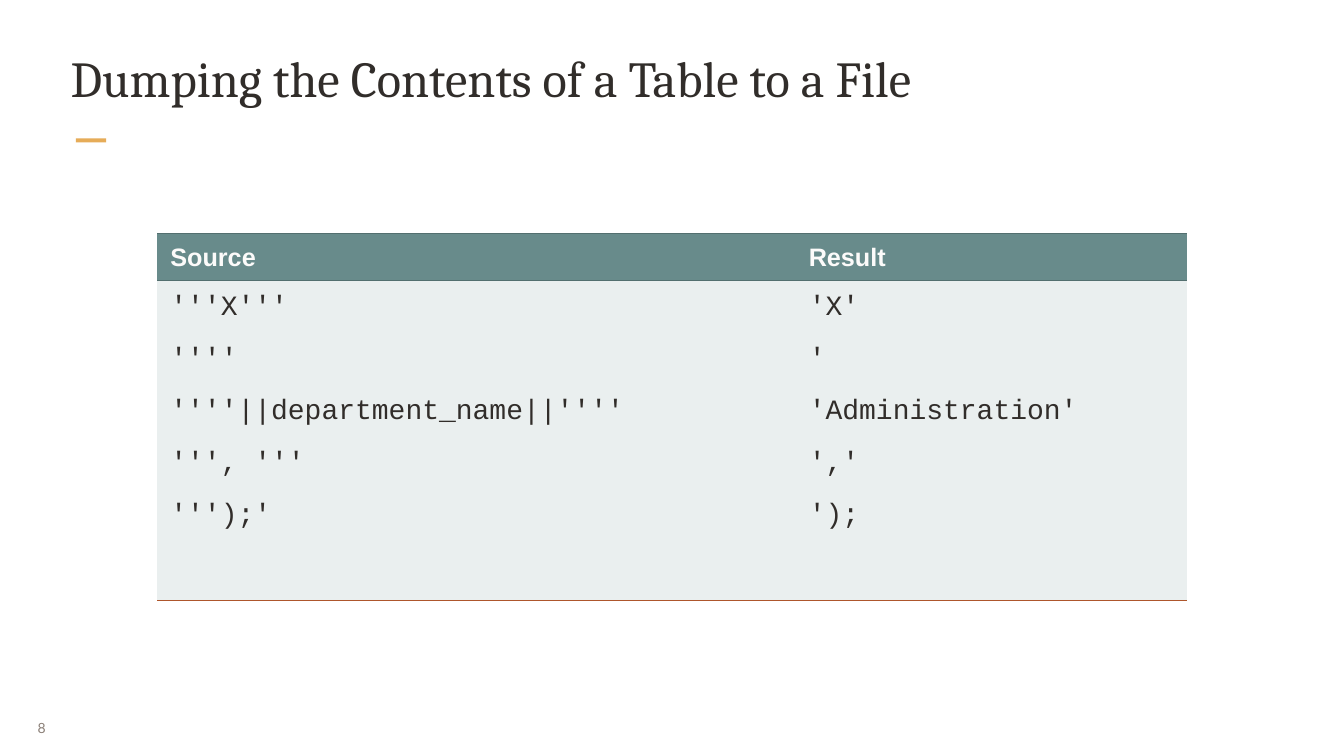
from lxml import etree
from pptx import Presentation
from pptx.dml.color import RGBColor
from pptx.enum.shapes import MSO_SHAPE
from pptx.enum.text import MSO_ANCHOR, PP_ALIGN
from pptx.oxml.ns import qn
from pptx.util import Cm, Pt

RECTANGLE = MSO_SHAPE.RECTANGLE
TOP, MIDDLE = MSO_ANCHOR.TOP, MSO_ANCHOR.MIDDLE
LEFT = PP_ALIGN.LEFT

INK = RGBColor(0x31, 0x2D, 0x2A)
GOLD = RGBColor(0xE6, 0xAC, 0x58)
TAUPE = RGBColor(0x8B, 0x80, 0x78)
TEAL = RGBColor(0x68, 0x8B, 0x8B)
DARK_TEAL = RGBColor(0x53, 0x6F, 0x6F)
PALE_TEAL = RGBColor(0xEA, 0xEF, 0xEF)
RUST = RGBColor(0xAE, 0x56, 0x2C)
OFF_WHITE = RGBColor(0xFC, 0xFB, 0xFA)

# Content
TITLE = "Dumping the Contents of a Table to a File"
PAGE_NUMBER = "8"
COLUMNS = [
    ("Source", ["'''X'''", "''''", "''''||department_name||''''",
                "''', '''", "''');'"]),
    ("Result", ["'X'", "'", "'Administration'", "','", "');"]),
]
COLUMN_WIDTHS = [Cm(24.13), Cm(14.81)]
ROW_HEIGHTS = [Cm(1.8), Cm(12.07)]


def set_insets(box, horizontal, vertical):
    box.margin_left = box.margin_right = horizontal
    box.margin_top = box.margin_bottom = vertical


def style_font(font, name, size, color, bold=False):
    font.name, font.size, font.bold = name, Pt(size), bold
    font.color.rgb = color


def set_borders(cell, top, bottom):
    """Draw the top and bottom edges; hide the sides and any edge set to None."""
    properties = cell._tc.get_or_add_tcPr()
    edges = [("a:lnL", None), ("a:lnR", None), ("a:lnT", top), ("a:lnB", bottom)]
    for position, (tag, color) in enumerate(edges):
        line = etree.Element(qn(tag), w=str(Pt(1)))
        if color is None:
            etree.SubElement(line, qn("a:noFill"))
        else:
            fill = etree.SubElement(line, qn("a:solidFill"))
            etree.SubElement(fill, qn("a:srgbClr"), val=str(color))
        properties.insert(position, line)


def fill_cell(cell, lines, font_name, size, color, bold, background):
    set_insets(cell, Cm(0.5), Cm(0.18))
    cell.vertical_anchor = TOP
    cell.fill.solid()
    cell.fill.fore_color.rgb = background
    cell.text_frame.text = "\n".join(lines)
    for index, paragraph in enumerate(cell.text_frame.paragraphs):
        paragraph.line_spacing = 1.2
        paragraph.space_before = Pt(size / 2 if index else 0)
        for run in paragraph.runs:
            style_font(run.font, font_name, size, color, bold)


def main():
    deck = Presentation()
    deck.slide_width, deck.slide_height = Cm(50.8), Cm(28.58)
    slide = deck.slides.add_slide(deck.slide_layouts[5])

    # Title with its accent bar
    title = slide.shapes.title
    title.left, title.top, title.width, title.height = (
        Cm(2.59), Cm(1.7), Cm(45.62), Cm(3.25))
    title_frame = title.text_frame
    title_frame.text = TITLE
    title_frame.vertical_anchor = TOP
    set_insets(title_frame, Cm(0.08), Cm(0.08))
    heading = title_frame.paragraphs[0]
    heading.alignment = LEFT
    style_font(heading.runs[0].font, "Cambria", 54, INK)

    accent = slide.shapes.add_shape(
        RECTANGLE, Cm(2.87), Cm(5.23), Cm(1.14), Cm(0.15))
    accent.shadow.inherit = False
    accent.fill.solid()
    accent.fill.fore_color.rgb = GOLD
    accent.line.fill.background()

    # Quoting examples
    table = slide.shapes.add_table(
        len(ROW_HEIGHTS), len(COLUMNS), Cm(5.94), Cm(8.81),
        sum(COLUMN_WIDTHS), sum(ROW_HEIGHTS)).table
    table.horz_banding = False
    for row, height in zip(table.rows, ROW_HEIGHTS):
        row.height = height
    for index, (header, examples) in enumerate(COLUMNS):
        table.columns[index].width = COLUMN_WIDTHS[index]
        header_cell, examples_cell = table.cell(0, index), table.cell(1, index)
        fill_cell(header_cell, [header], "Arial", 27, OFF_WHITE, True, TEAL)
        fill_cell(examples_cell, examples, "Courier New", 30, INK, False, PALE_TEAL)
        set_borders(header_cell, DARK_TEAL, DARK_TEAL)
        set_borders(examples_cell, DARK_TEAL, RUST)

    # Page number
    page = slide.shapes.add_textbox(Cm(1.09), Cm(26.77), Cm(1.65), Cm(1.47))
    page_frame = page.text_frame
    page_frame.text = PAGE_NUMBER
    page_frame.word_wrap = False
    page_frame.vertical_anchor = MIDDLE
    set_insets(page_frame, Cm(0.33), Cm(0.18))
    page_frame.paragraphs[0].alignment = PP_ALIGN.JUSTIFY
    style_font(page_frame.paragraphs[0].runs[0].font, "Lato", 15, TAUPE)

    deck.save("out.pptx")


if __name__ == "__main__":
    main()
